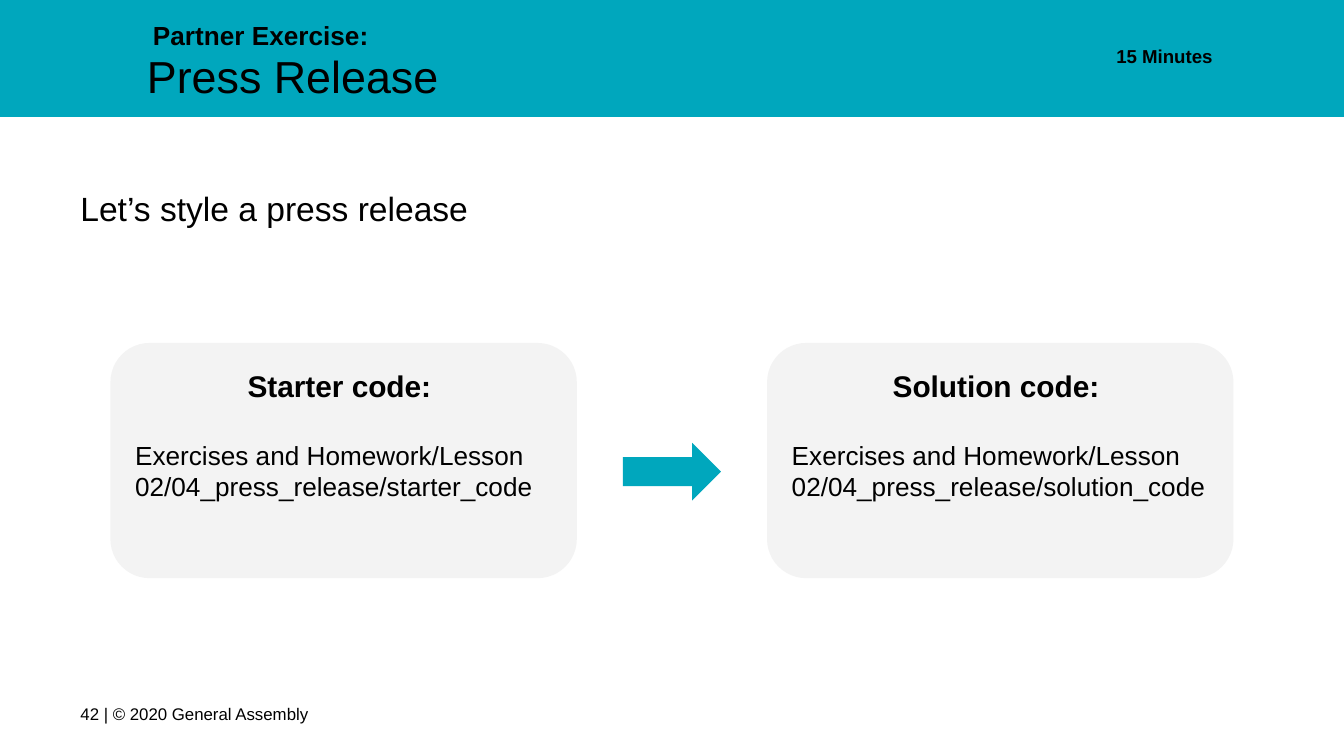
from dataclasses import dataclass

import pptx
import pptx.dml.color
import pptx.enum.shapes
import pptx.enum.text
import pptx.util

SHAPES = pptx.enum.shapes.MSO_SHAPE
ALIGN = pptx.enum.text.PP_ALIGN
ANCHOR = pptx.enum.text.MSO_ANCHOR

WIDTH = pptx.util.Inches(10)
HEIGHT = WIDTH * 9 // 16
COLUMNS, ROWS = 100, 56.25
FONT = "Arial"
COLORS = {"accent": "00A7BD", "card": "F3F3F3", "text": "000000"}


@dataclass(frozen=True)
class Area:
    column: float
    row: float
    columns: float
    rows: float

    def box(self) -> tuple[int, int, int, int]:
        return (
            round(WIDTH * self.column / COLUMNS),
            round(HEIGHT * self.row / ROWS),
            round(WIDTH * self.columns / COLUMNS),
            round(HEIGHT * self.rows / ROWS),
        )


@dataclass(frozen=True)
class Label:
    text: str
    area: Area
    size: float
    bold: bool = False
    align: ALIGN = ALIGN.LEFT
    anchor: ANCHOR = ANCHOR.TOP
    line_spacing: float = 1.0


@dataclass(frozen=True)
class CodeCard:
    heading: str
    location: str


LABELS = [
    Label("Partner Exercise:", Area(10.4, 0.45, 24.3, 5), 14, bold=True),
    Label("Press Release", Area(9.95, 2.6, 54.8, 5), 24),
    Label("15 Minutes", Area(76.6, 2.15, 14.6, 3.6), 10, bold=True,
          align=ALIGN.RIGHT, line_spacing=1.15),
    Label("Let’s style a press release", Area(5, 12.55, 90, 9), 18, line_spacing=1.15),
    Label("42 | © 2020 General Assembly", Area(5, 51, 25.9, 4.3), 9, anchor=ANCHOR.MIDDLE),
]

FOLDER = "Exercises and Homework/Lesson 02/04_press_release/"
CARDS = [
    CodeCard("Starter code: ", FOLDER + "starter_code"),
    CodeCard("Solution code: ", FOLDER + "solution_code"),
]
CARD_MARGIN, CARD_ROW, CARD_COLUMNS, CARD_ROWS = 8.22, 25.52, 34.7, 17.5
CARD_STEP = COLUMNS - 2 * CARD_MARGIN - CARD_COLUMNS


def prepare_frame(shape, anchor: ANCHOR = ANCHOR.TOP):
    frame = shape.text_frame
    frame.word_wrap = True
    frame.vertical_anchor = anchor
    inset = pptx.util.Inches(0.1)
    frame.margin_left = frame.margin_right = inset
    frame.margin_top = frame.margin_bottom = inset
    return frame


def write_text(paragraph, text: str, *, size: float, bold: bool = False,
               align: ALIGN = ALIGN.LEFT, line_spacing: float = 1.0,
               space_after: float = 0) -> None:
    paragraph.alignment = align
    paragraph.line_spacing = line_spacing
    paragraph.space_after = pptx.util.Pt(space_after)
    run = paragraph.add_run()
    run.text = text
    run.font.name = FONT
    run.font.size = pptx.util.Pt(size)
    run.font.bold = bold
    run.font.color.rgb = pptx.dml.color.RGBColor.from_string(COLORS["text"])


def draw_shape(slide, kind: SHAPES, area: Area, color: str):
    shape = slide.shapes.add_shape(kind, *area.box())
    shape.shadow.inherit = False
    shape.fill.solid()
    shape.fill.fore_color.rgb = pptx.dml.color.RGBColor.from_string(COLORS[color])
    shape.line.fill.background()
    return shape


def draw_label(slide, label: Label) -> None:
    frame = prepare_frame(slide.shapes.add_textbox(*label.area.box()), label.anchor)
    write_text(frame.paragraphs[0], label.text, size=label.size, bold=label.bold,
               align=label.align, line_spacing=label.line_spacing)


def draw_card(slide, card: CodeCard, area: Area) -> None:
    frame = prepare_frame(draw_shape(slide, SHAPES.ROUNDED_RECTANGLE, area, "card"))
    write_text(frame.paragraphs[0], card.heading, size=16, bold=True,
               align=ALIGN.CENTER, space_after=19)
    write_text(frame.add_paragraph(), card.location, size=14)


def main() -> None:
    presentation = pptx.Presentation()
    presentation.slide_width = WIDTH
    presentation.slide_height = HEIGHT
    slide = presentation.slides.add_slide(presentation.slide_layouts[6])

    draw_shape(slide, SHAPES.RECTANGLE, Area(0, 0, COLUMNS, 8.7), "accent")
    for label in LABELS:
        draw_label(slide, label)
    for index, card in enumerate(CARDS):
        column = CARD_MARGIN + index * CARD_STEP
        draw_card(slide, card, Area(column, CARD_ROW, CARD_COLUMNS, CARD_ROWS))
    draw_shape(slide, SHAPES.RIGHT_ARROW, Area(46.35, 32.95, 7.3, 4.3), "accent")

    presentation.save("out.pptx")


if __name__ == "__main__":
    main()
